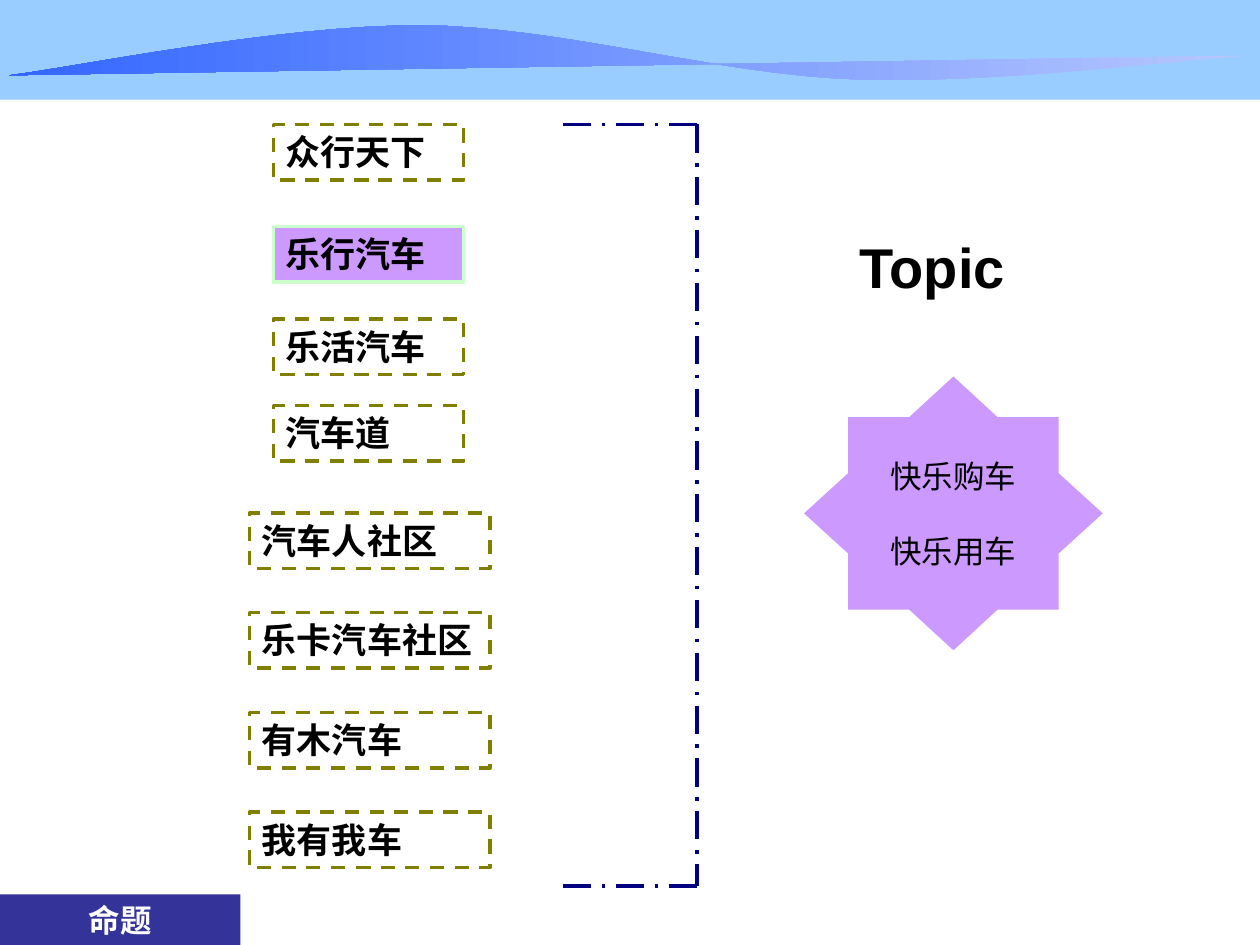
import dataclasses
from typing import Optional

import pptx
import pptx.dml.color
import pptx.enum.dml
import pptx.enum.shapes
import pptx.enum.text
import pptx.oxml
import pptx.oxml.ns
import pptx.util

Cm = pptx.util.Cm
Align = pptx.enum.text.PP_ALIGN
Anchor = pptx.enum.text.MSO_ANCHOR
Dash = pptx.enum.dml.MSO_LINE
Point = tuple[float, float]


@dataclasses.dataclass(frozen=True)
class Theme:
    font: str = "Arial"
    black: str = "000000"
    white: str = "FFFFFF"
    violet: str = "CC99FF"
    mint: str = "CCFFCC"
    olive: str = "808000"
    navy: str = "000080"
    indigo: str = "333399"
    sky: str = "99CCFF"
    wave_light: str = "B7C8FE"
    wave_dark: str = "3366FF"
    topic_size: int = 32
    name_size: int = 20
    body_size: int = 18
    line_width: int = 2


THEME = Theme()


@dataclasses.dataclass(frozen=True)
class Box:
    """A rectangle in centimetres."""
    left: float
    top: float
    width: float
    height: float

    def lengths(self) -> list[int]:
        return [Cm(value) for value in dataclasses.astuple(self)]


@dataclasses.dataclass(frozen=True)
class Name:
    text: str
    top: float
    wide: bool = False
    chosen: bool = False


NAMES = [
    Name("众行天下", 2.51),
    Name("乐行汽车", 4.57, chosen=True),
    Name("乐活汽车", 6.43),
    Name("汽车道", 8.18),
] + [
    Name(text, 10.34 + 2.01 * row, wide=True)
    for row, text in enumerate(["汽车人社区", "乐卡汽车社区", "有木汽车", "我有我车"])
]

WAVE_START = (0.18, 1.52)
WAVE_CURVES = [
    ((1.55, 1.35), (5.61, 0.51), (8.46, 0.51)),
    ((11.3, 0.53), (14.43, 1.5), (17.22, 1.6)),
    ((20.02, 1.7), (23.57, 1.22), (25.22, 1.12)),
]


def rgb(value: str):
    return pptx.dml.color.RGBColor.from_string(value)


def write_text(shape, *lines: str, size: int, color: str = THEME.black,
               bold: bool = False, align=Align.LEFT, anchor=Anchor.TOP,
               wrap: bool = True, gap: float = 0) -> None:
    """Write one paragraph per line, with gap points between them."""
    frame = shape.text_frame
    frame.word_wrap = wrap
    frame.vertical_anchor = anchor
    for index, line in enumerate(lines):
        paragraph = frame.add_paragraph() if index else frame.paragraphs[0]
        paragraph.alignment = align
        paragraph.space_before = pptx.util.Pt(gap if index else 0)
        run = paragraph.add_run()
        run.text = line
        run.font.name = THEME.font
        run.font.size = pptx.util.Pt(size)
        run.font.bold = bold
        run.font.color.rgb = rgb(color)


def style_line(line, color: str, dash=None) -> None:
    line.color.rgb = rgb(color)
    line.width = pptx.util.Pt(THEME.line_width)
    if dash is not None:
        line.dash_style = dash


def add_rectangle(slide, box: Box, fill: Optional[str] = None):
    shape = slide.shapes.add_shape(
        pptx.enum.shapes.MSO_SHAPE.RECTANGLE, *box.lengths())
    shape.shadow.inherit = False
    shape.line.fill.background()
    if fill:
        shape.fill.solid()
        shape.fill.fore_color.rgb = rgb(fill)
    else:
        shape.fill.background()
    return shape


def add_name(slide, name: Name) -> None:
    left, width = (5.03, 4.85) if name.wide else (5.51, 3.84)
    shape = add_rectangle(slide, Box(left, name.top, width, 1.12),
                          THEME.violet if name.chosen else None)
    if name.chosen:
        style_line(shape.line, THEME.mint)
    else:
        style_line(shape.line, THEME.olive, Dash.DASH)
    write_text(shape, name.text, size=THEME.name_size, bold=True)


def add_bracket(slide, left: float, top: float, right: float, bottom: float) -> None:
    corners = [(left, top), (right, top), (right, bottom), (left, bottom)]
    sides = [corners[:2], corners[1:3], [corners[3], corners[2]]]
    for start, end in sides:
        connector = slide.shapes.add_connector(
            pptx.enum.shapes.MSO_CONNECTOR.STRAIGHT,
            *(Cm(value) for value in (*start, *end)))
        style_line(connector.line, THEME.navy, Dash.LONG_DASH_DOT)
        properties = connector.element.find(pptx.oxml.ns.qn("p:spPr"))
        properties.append(pptx.oxml.parse_xml(
            f"<a:effectLst {pptx.oxml.ns.nsdecls('a')}/>"))


def add_outline(slide, points: list[Point]):
    """Add a closed, unlined shape through points in centimetres."""
    first, *rest = [(Cm(x), Cm(y)) for x, y in points]
    builder = slide.shapes.build_freeform(*first)
    builder.add_line_segments(rest, close=True)
    shape = builder.convert_to_shape()
    shape.shadow.inherit = False
    shape.line.fill.background()
    return shape


def star_points(center: Point, tip: Point, corner: Point, notch: Point) -> list[Point]:
    """Mirror a quarter of the star, going clockwise from the top."""
    quarter = [(0, -tip[1]), (notch[0], -corner[1]), (corner[0], -corner[1]),
               (corner[0], -notch[1]), (tip[0], 0)]
    right = quarter + [(x, -y) for x, y in reversed(quarter[:-1])]
    offsets = right + [(-x, y) for x, y in reversed(right[1:-1])]
    return [(center[0] + x, center[1] + y) for x, y in offsets]


def wave_points(steps: int = 16) -> list[Point]:
    """Sample the cubic curves of the wave."""
    points = [WAVE_START]
    for curve in WAVE_CURVES:
        controls = (points[-1], *curve)
        for step in range(1, steps + 1):
            t = step / steps
            weights = ((1 - t) ** 3, 3 * t * (1 - t) ** 2, 3 * t * t * (1 - t), t ** 3)
            points.append(tuple(
                sum(weight * control[axis] for weight, control in zip(weights, controls))
                for axis in (0, 1)))
    return points


def add_banner(slide) -> None:
    add_rectangle(slide, Box(0, 0, 25.4, 2.01), THEME.sky)
    wave = add_outline(slide, wave_points())
    wave.fill.gradient()
    wave.fill.gradient_angle = 180
    for stop, color in zip(wave.fill.gradient_stops, (THEME.wave_light, THEME.wave_dark)):
        stop.color.rgb = rgb(color)


def main() -> None:
    presentation = pptx.Presentation()
    presentation.slide_width, presentation.slide_height = Cm(25.4), Cm(19.05)
    slide = presentation.slides.add_slide(presentation.slide_layouts[6])

    add_banner(slide)
    for name in NAMES:
        add_name(slide, name)
    add_bracket(slide, 11.35, 2.51, 14.05, 17.86)

    star = add_outline(slide, star_points(
        (19.22, 10.35), tip=(3.01, 2.76), corner=(2.12, 1.94), notch=(0.89, 0.81)))
    star.fill.solid()
    star.fill.fore_color.rgb = rgb(THEME.violet)
    write_text(star, "快乐购车", "快乐用车", size=THEME.body_size, align=Align.CENTER,
               anchor=Anchor.MIDDLE, wrap=False, gap=21)

    topic = slide.shapes.add_textbox(*Box(17.04, 4.57, 3.51, 1.63).lengths())
    write_text(topic, "Topic", size=THEME.topic_size, bold=True,
               align=Align.CENTER, wrap=False)

    label = add_rectangle(slide, Box(0, 18.03, 4.85, 1.02), THEME.indigo)
    write_text(label, "命题", size=THEME.body_size, color=THEME.white, bold=True,
               align=Align.CENTER)
    presentation.save("out.pptx")


if __name__ == "__main__":
    main()
